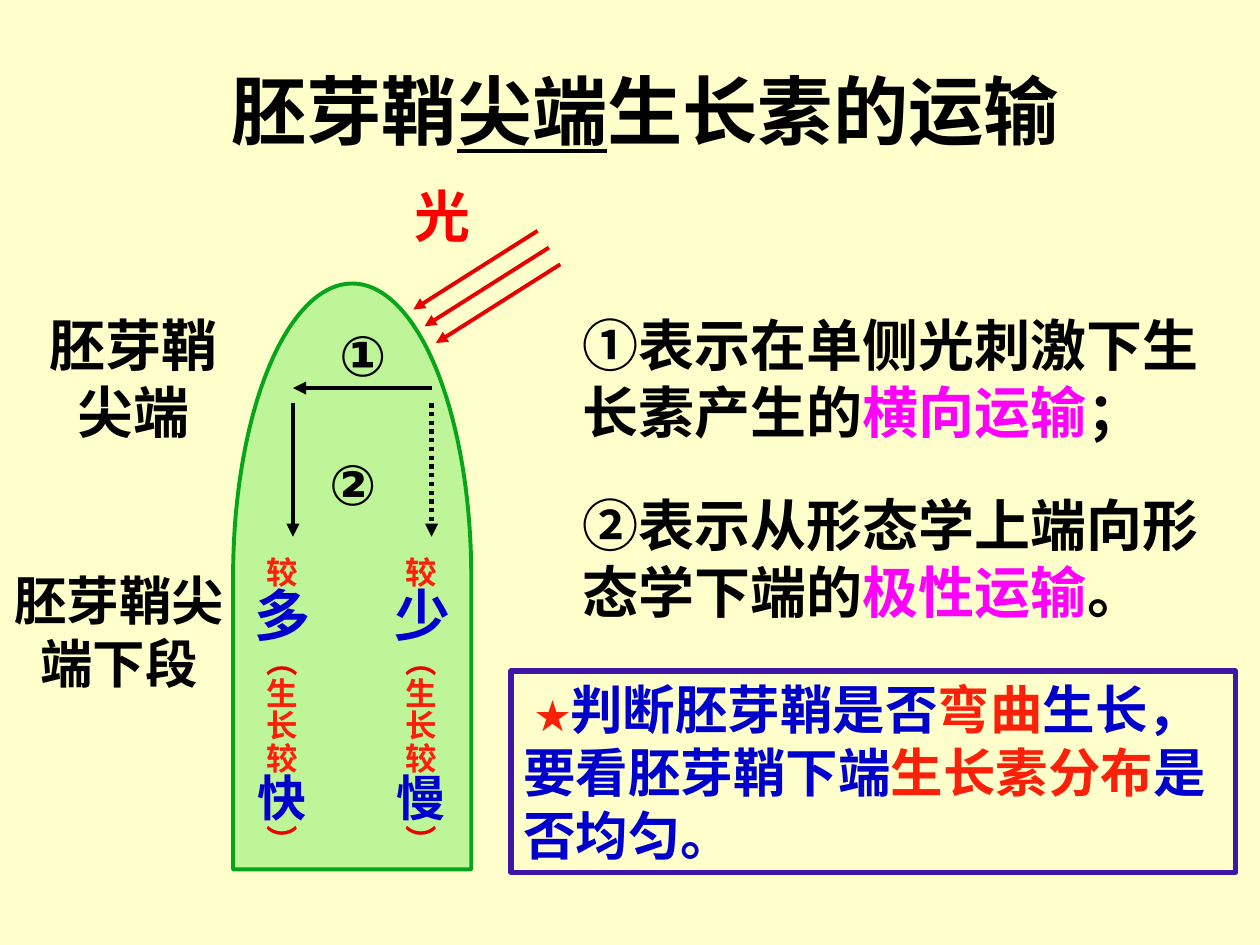
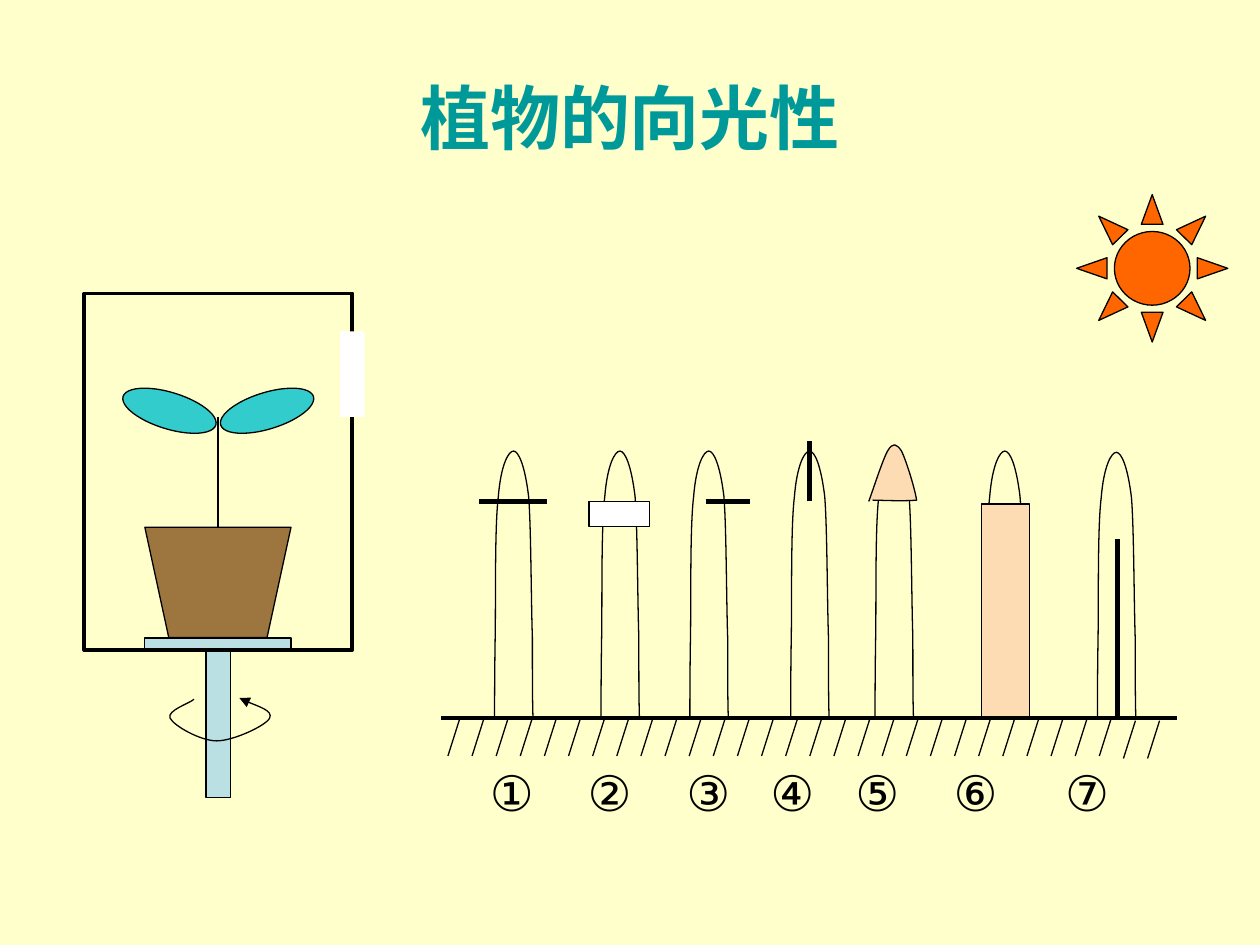
from dataclasses import dataclass

from lxml import etree
from pptx import Presentation
from pptx import util as u
from pptx.dml.color import RGBColor
from pptx.enum import dml, shapes, text
from pptx.oxml.ns import qn

CELL = u.Inches(0.1)
COLS, ROWS = 100, 75
FONT = "Arial"
COLORS = {
    "paper": "FFFFCC", "ink": "000000", "white": "FFFFFF", "teal": "009999",
    "sheath": "BEF599", "sheath_edge": "07A51A", "ray": "E60000", "light": "FF0000",
    "magenta": "FF00FF", "blue": "0000CC", "red": "FB2009", "bracket": "E60500",
    "frame": "3F16A6", "pot": "9D753F", "leaf": "33CCCC", "stand": "BBE0E3",
    "sun": "FF6600", "foil": "FDDCB3",
}
CENTER = text.PP_ALIGN.CENTER
RECT = shapes.MSO_SHAPE.RECTANGLE
OVAL = shapes.MSO_SHAPE.OVAL


@dataclass
class Box:
    x: float
    y: float
    w: float
    h: float

    def pt(self, x, y):
        return round((self.x + x) * CELL), round((self.y + y) * CELL)

    def sub(self, x, y, w, h):
        return Box(self.x + x, self.y + y, w, h)

    def emu(self):
        return (*self.pt(0, 0), round(self.w * CELL), round(self.h * CELL))


def rgb(name):
    return RGBColor.from_string(COLORS[name])


def set_all(obj, fmt):
    for k, v in fmt.items():
        setattr(obj, k, v)


def style(sp, fill=None, line="ink", width=0.75, arrow=False, dash=None):
    if fill:
        sp.fill.solid()
        sp.fill.fore_color.rgb = rgb(fill)
    elif hasattr(sp, "fill"):
        sp.fill.background()
    if line:
        sp.line.color.rgb = rgb(line)
        sp.line.width = u.Pt(width)
    else:
        sp.line.fill.background()
    if dash:
        sp.line.dash_style = dash
    if arrow:
        ln = sp.element.xpath(".//a:ln")[0]
        etree.SubElement(ln, qn("a:tailEnd"), type="triangle")


def add_shape(g, kind, box, rotation=0, **fmt):
    sp = g.add_shape(kind, *box.emu())
    sp.shadow.inherit = False
    sp.rotation = rotation
    style(sp, **fmt)
    return sp


def add_line(g, box, start, end, **fmt):
    sp = g.add_connector(shapes.MSO_CONNECTOR.STRAIGHT, *box.pt(*start), *box.pt(*end))
    etree.SubElement(sp.element.spPr, qn("a:effectLst"))
    style(sp, **fmt)


def add_path(g, box, points, close=False, **fmt):
    pts = [box.pt(*p) for p in points]
    fb = g.build_freeform(*pts[0])
    fb.add_line_segments(pts[1:], close=close)
    sp = fb.convert_to_shape()
    sp.shadow.inherit = False
    style(sp, **fmt)
    return sp


def add_curve(g, box, points, **fmt):
    sp = add_path(g, box, points, **fmt)
    steps = sp.element.xpath(".//a:lnTo")
    for i in range(0, len(steps), 3):
        bend = etree.Element(qn("a:cubicBezTo"))
        steps[i].addprevious(bend)
        for step in steps[i:i + 3]:
            bend.append(step[0])
            step.getparent().remove(step)


def write(sp, runs, align=None, spacing=None, wrap=True, grow=True, tabs=(),
          anchor=text.MSO_ANCHOR.TOP):
    tf = sp.text_frame
    fit = text.MSO_AUTO_SIZE.SHAPE_TO_FIT_TEXT if grow else text.MSO_AUTO_SIZE.NONE
    set_all(tf, {
        "word_wrap": wrap, "auto_size": fit, "vertical_anchor": anchor,
        "margin_left": CELL, "margin_right": CELL,
        "margin_top": CELL // 2, "margin_bottom": CELL // 2,
    })
    p = tf.paragraphs[0]
    set_all(p, {"alignment": align or text.PP_ALIGN.LEFT, "line_spacing": spacing})
    if tabs:
        lst = etree.SubElement(p._p.get_or_add_pPr(), qn("a:tabLst"))
        for t in tabs:
            etree.SubElement(lst, qn("a:tab"), pos=str(round(t * CELL)), algn="l")
    for words, size, color, *extra in runs:
        r = p.add_run()
        r.text = words
        set_all(r.font, {"name": FONT, "size": u.Pt(size), "bold": True,
                         **(extra[0] if extra else {})})
        r.font.color.rgb = rgb(color)


def add_text(g, box, runs, **fmt):
    write(g.add_textbox(*box.emu()), runs, **fmt)


def add_title(g, box, runs):
    add_text(g, box, runs, align=CENTER, grow=False, anchor=text.MSO_ANCHOR.MIDDLE)


def add_slide(prs):
    s = prs.slides.add_slide(prs.slide_layouts[6])
    s.background.fill.solid()
    s.background.fill.fore_color.rgb = rgb("paper")
    return s.shapes


def draw_sheath(g, box):
    lean = (box.w - box.h) / 2
    add_shape(g, shapes.MSO_SHAPE.FLOWCHART_DELAY, box.sub(lean, -lean, box.h, box.w),
              rotation=270, fill="sheath", line="sheath_edge", width=2.25)
    left, right = 4.75, 15.75
    flow = {"width": 2.5, "arrow": True}
    add_line(g, box, (right, 8.3), (left, 8.3), **flow)
    add_line(g, box, (left, 9.5), (left, 20.1), **flow)
    add_line(g, box, (right, 9.5), (right, 20.1), dash=dml.MSO_LINE.ROUND_DOT, **flow)
    for mark, x, y in (("①", 7.45, 2.45), ("②", 6.7, 12.65)):
        add_text(g, box.sub(x, y, 5.7, 6.4), [(mark, 32, "ink")], wrap=False)
    for x, amount, speed in ((0.75, "多", "快"), (11.8, "少", "慢")):
        add_text(g, box.sub(x, 21.35, 6.3, 24.8), [
            ("较", 18, "red"), (amount, 32, "blue"), ("︵", 18, "bracket"),
            ("生长较", 18, "red"), (speed, 28, "blue"), ("︶", 18, "bracket"),
        ], align=CENTER, spacing=0.85)


def draw_light(g, box):
    for i in range(3):
        dx, dy = 0.9 * i, 1.33 * i
        add_line(g, box, (10.77, 4.42 + dy) if not i else (10.77 + dx, 4.42 + dy),
                 (0.9 + dx, 10.67 + dy), line="ray", width=2.25, arrow=True)
    add_text(g, box.sub(0, 0, 6.4, 6.4), [("光", 32, "light")], wrap=False)


def draw_part_names(g, box):
    add_text(g, box.sub(2.7, 0, 15.8, 11.7), [("胚芽鞘尖端", 32, "ink")], align=CENTER)
    add_text(g, box.sub(0, 20.45, box.w, 11), [("胚芽鞘尖端下段", 30, "ink")], align=CENTER)


def draw_explanations(g, box):
    notes = (("①表示在单侧光刺激下生长素产生的", "横向运输", "；"),
             ("②表示从形态学上端向形态学下端的", "极性运输", "。"))
    for i, words in enumerate(notes):
        runs = [(w, 32, c) for w, c in zip(words, ("ink", "magenta", "ink"))]
        add_text(g, box.sub(0, 14.25 * i, box.w, 11.7), runs)


def draw_conclusion(g, box):
    sp = add_shape(g, RECT, box, line="frame", width=3)
    write(sp, [
        (" ", 30, "blue"), ("★", 20, "red"), ("判断胚芽鞘是否", 30, "blue"),
        ("弯曲", 30, "red"), ("生长，要看胚芽鞘下端", 30, "blue"),
        ("生长素分布", 30, "red"), ("是否均匀。", 30, "blue"),
    ])


def draw_plant(g, box):
    add_path(g, box, [(4.8, 18.55), (6.7, 27.3), (14.5, 27.3), (16.4, 18.55)],
             close=True, fill="pot")
    add_line(g, box, (10.6, 18.55), (10.6, 9.8))
    for x, tilt in ((10.65, 342.9), (2.9, 17.1)):
        add_shape(g, OVAL, box.sub(x, 7.85, 7.7, 2.9), rotation=tilt, fill="leaf")
    add_shape(g, RECT, box.sub(4.8, 27.35, 11.6, 1), fill="stand")
    add_shape(g, RECT, box.sub(9.65, 28.3, 1.95, 11.7), fill="stand")
    add_shape(g, RECT, box.sub(0, 0, 21.25, 28.3), width=2.25)
    add_shape(g, RECT, box.sub(20.3, 3, 1.95, 6.8), fill="white", line=None)
    add_curve(g, box, [
        (8.7, 32.2),
        (8.4, 32.5), (6.5, 33.1), (6.8, 33.7),
        (7.1, 34.3), (9.2, 35.5), (10.5, 35.5),
        (11.8, 35.5), (14.4, 34.3), (14.7, 33.7),
        (15, 33.1), (12.8, 32.4), (12.3, 32.1)], arrow=True)


def draw_coleoptile(g, box):
    add_curve(g, box, [
        (0, 21.9),
        (0, 20.8), (0, 18.5), (0.05, 15.6),
        (0.1, 12.7), (0, 6.8), (0.3, 4.4),
        (0.5, 1.9), (1.1, 0.8), (1.5, 0.8),
        (1.9, 0.8), (2.4, 1.9), (2.7, 4.4),
        (2.9, 6.8), (2.9, 12.7), (3, 15.6),
        (3, 18.5), (3, 20.6), (3.05, 22)])


def draw_cap(g, box):
    add_curve(g, box, [
        (-0.2, 4.7),
        (0.4, 4.7), (2.1, 4.8), (3.3, 4.7),
        (3.1, 3.5), (2.4, 1.4), (2.1, 0.8),
        (1.7, 0.2), (1.4, 0.1), (1, 0.8),
        (0.6, 1.5), (-0.2, 4), (-0.5, 4.8)], fill="foil")


def draw_experiments(g, box):
    ground = 22
    feet = [4.25, 12.7, 19.75, 27.75, 34.45, 43.25, 52.1]
    plots = [box.sub(x, 0, 3, ground) for x in feet]
    plots[-1].y += 0.1
    for plot in plots:
        draw_coleoptile(g, plot)
    for i, start, end in ((0, (-1.2, 4.8), (4.2, 4.8)), (2, (1.25, 4.8), (4.75, 4.8)),
                          (3, (1.5, 4.8), (1.5, 0)), (6, (1.6, 21.9), (1.6, 7.7))):
        add_line(g, plots[i], start, end, width=3)
    add_shape(g, RECT, plots[1].sub(-0.95, 4.8, 4.8, 2), fill="white")
    draw_cap(g, plots[4])
    add_shape(g, RECT, plots[5].sub(-0.35, 5, 3.8, 16.9), fill="foil")
    add_line(g, box, (0, ground), (box.w, ground), width=2.25)
    for i in range(30):
        x, y = 1.5 + 51.7 / 27 * i, ground + (0.2 if i > 27 else 0)
        add_line(g, box, (x, y), (x - 0.95, y + 3))
    add_text(g, box.sub(2.9, 25, 54.6, 5.7),
             [("\t".join("①②③④⑤⑥⑦"), 28, "ink", {"bold": False})],
             tabs=(7.75, 15.6, 22.25, 29, 36.8, 45.65))


def transport_slide(prs):
    g = add_slide(prs)
    add_title(g, Box(10.65, 2.85, 81.1, 11.7), [
        ("胚芽鞘", 43, "ink"), ("尖端", 43, "ink", {"underline": True}),
        ("生长素的运输", 43, "ink")])
    draw_sheath(g, Box(18.5, 22.5, 18.9, 46.5))
    draw_light(g.add_group_shape().shapes, Box(31.9, 13.9, 12.7, 13.4))
    draw_part_names(g, Box(0, 24.15, 18.9, 31.5))
    draw_explanations(g, Box(45.25, 24.15, 52, 26))
    draw_conclusion(g, Box(40.55, 53.25, 57.5, 16))


def phototropism_slide(prs):
    g = add_slide(prs)
    add_title(g, Box(5, 3, 90, 12.5), [("植物的向光性", 40, "teal")])
    draw_plant(g.add_group_shape().shapes, Box(6.7, 23.3, 22.2, 40))
    add_shape(g, shapes.MSO_SHAPE.SUN, Box(85.45, 15.45, 12, 11.7), fill="sun")
    draw_experiments(g.add_group_shape().shapes, Box(35, 35, 58.4, 30.7))


def main():
    prs = Presentation()
    set_all(prs, {"slide_width": COLS * CELL, "slide_height": ROWS * CELL})
    transport_slide(prs)
    phototropism_slide(prs)
    prs.save("out.pptx")


if __name__ == "__main__":
    main()
